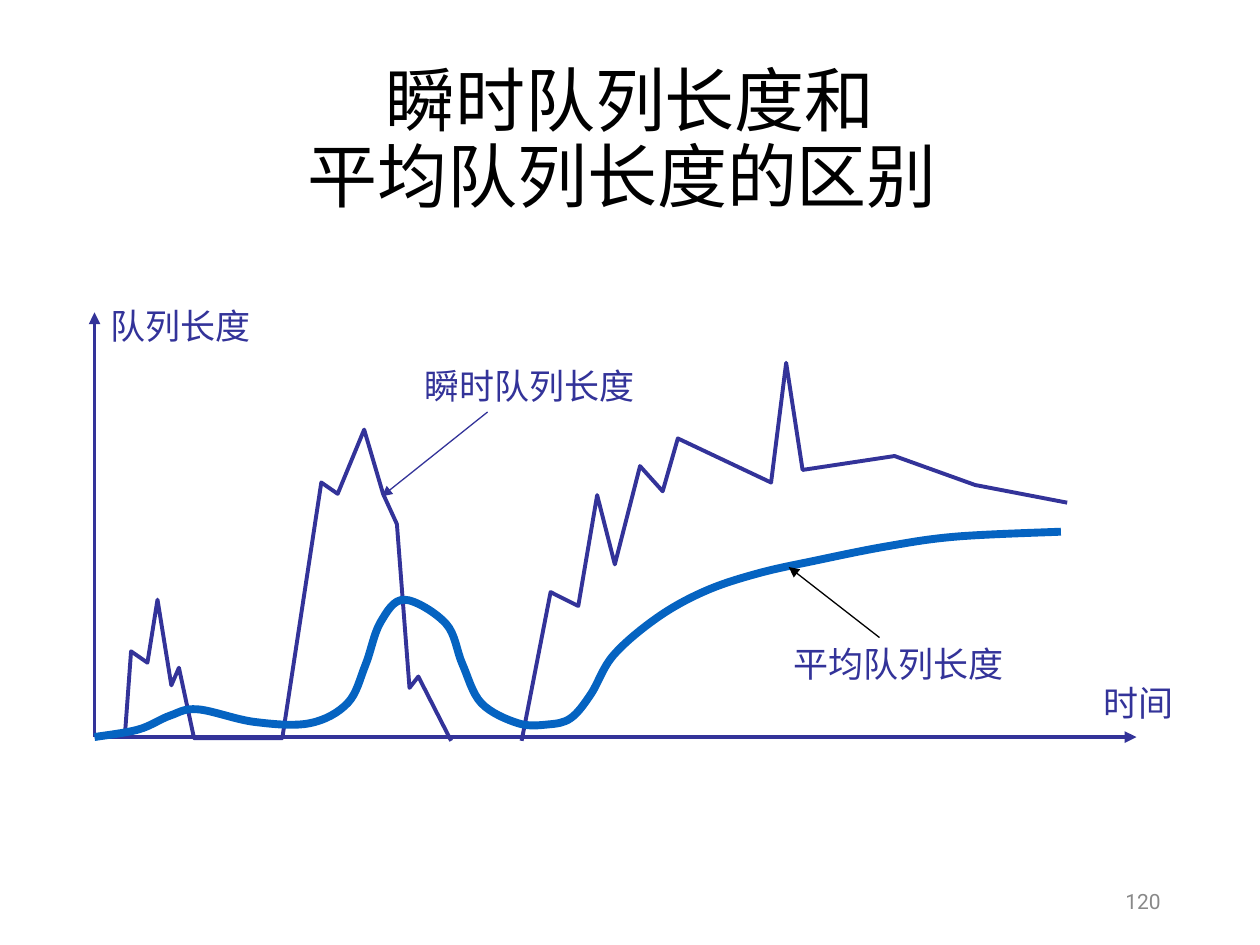
from dataclasses import dataclass

from lxml import etree
from pptx import Presentation
from pptx.dml.color import RGBColor
from pptx.enum.shapes import MSO_CONNECTOR
from pptx.enum.text import MSO_ANCHOR, MSO_AUTO_SIZE, PP_ALIGN
from pptx.oxml.ns import qn
from pptx.util import Pt

PX = 9144
STRAIGHT = MSO_CONNECTOR.STRAIGHT
LEFT, CENTER, RIGHT = PP_ALIGN.LEFT, PP_ALIGN.CENTER, PP_ALIGN.RIGHT
TOP, MIDDLE = MSO_ANCHOR.TOP, MSO_ANCHOR.MIDDLE
FIT_SHAPE = MSO_AUTO_SIZE.SHAPE_TO_FIT_TEXT


@dataclass(frozen=True)
class Theme:
    """Colours, fonts, type sizes and line widths."""
    ink: str = "000000"
    navy: str = "333399"
    blue: str = "0563C1"
    gray: str = "898989"
    title_font: str = "Calibri"
    label_font: str = "Times New Roman"
    number_font: str = "Roboto"
    title_size: int = 40
    label_size: int = 20
    number_size: int = 12
    thin: float = 0.75
    medium: float = 2.25
    thick: float = 4.5


class SlideWriter:
    """Draws styled elements on one slide, with lengths in px."""

    def __init__(self, slide, theme):
        self.shapes = slide.shapes
        self.theme = theme

    def text(self, content, box, font, size, color, align=LEFT, anchor=TOP,
             wrap=True, spacing=None):
        """Add a text box with one style."""
        textbox = self.shapes.add_textbox(*(v * PX for v in box))
        frame = textbox.text_frame
        frame.text = content
        frame.word_wrap = wrap
        frame.vertical_anchor = anchor
        paragraph = frame.paragraphs[0]
        paragraph.alignment = align
        if spacing:
            paragraph.line_spacing = spacing
        for run in paragraph.runs:
            run.font.name = font
            run.font.size = Pt(size)
            run.font.color.rgb = RGBColor.from_string(color)
        return frame

    def label(self, content, box):
        """Add a one-line chart label."""
        frame = self.text(content, box, self.theme.label_font,
                          self.theme.label_size, self.theme.navy, wrap=False)
        frame.auto_size = FIT_SHAPE

    def stroke(self, line, color, width):
        """Set the colour and width of a line."""
        line.color.rgb = RGBColor.from_string(color)
        line.width = Pt(width)

    def arrow(self, start, end, color, width):
        """Add a straight line with an arrowhead at its end."""
        ends = (v * PX for v in (*start, *end))
        connector = self.shapes.add_connector(STRAIGHT, *ends)
        self.stroke(connector.line, color, width)
        properties = connector.element.spPr
        etree.SubElement(properties.find(qn("a:ln")), qn("a:tailEnd"), type="triangle")
        etree.SubElement(properties, qn("a:effectLst"))

    def polyline(self, points, color, width):
        """Add an open outline through the points."""
        first, *rest = [(x * PX, y * PX) for x, y in points]
        builder = self.shapes.build_freeform(*first)
        builder.add_line_segments(rest, close=False)
        outline = builder.convert_to_shape()
        outline.shadow.inherit = False
        outline.fill.background()
        self.stroke(outline.line, color, width)
        return outline

    def curve(self, points, color, width):
        """Add a smooth Catmull-Rom curve through the points."""
        outline = self.polyline(points, color, width)
        knots = [(int(pt.get("x")), int(pt.get("y")))
                 for pt in outline.element.iter(qn("a:pt"))]
        knots = [knots[0], *knots, knots[-1]]
        segments = list(outline.element.iter(qn("a:lnTo")))
        for segment, before, start, end, after in zip(
                segments, knots, knots[1:], knots[2:], knots[3:]):
            leave = [s + (e - b) // 6 for b, s, e in zip(before, start, end)]
            arrive = [e - (a - s) // 6 for s, e, a in zip(start, end, after)]
            segment.tag = qn("a:cubicBezTo")
            for place, (x, y) in enumerate((leave, arrive)):
                control = etree.Element(qn("a:pt"), x=str(x), y=str(y))
                segment.insert(place, control)


FIRST_BURSTS = [
    (99, 585), (104, 517), (117, 526), (125, 476), (136, 544), (142, 530),
    (154, 586), (224, 586), (255, 383), (268, 392), (289, 341), (304, 392),
    (315, 416), (325, 546), (332, 537), (358, 588),
]
LAST_BURST = [
    (414, 588), (437, 470), (459, 481), (474, 393), (488, 448), (508, 370),
    (526, 390), (538, 348), (612, 383), (624, 288), (637, 373), (710, 362),
    (774, 385), (847, 399),
]
AVERAGE = [
    (75, 585), (110, 579), (135, 568), (157, 563), (202, 573), (246, 574),
    (276, 558), (290, 528), (302, 494), (321, 476), (354, 495), (367, 527),
    (382, 558), (411, 574), (435, 575), (453, 570), (469, 551), (487, 520),
    (522, 490), (560, 469), (602, 455), (647, 445), (702, 434), (758, 426),
    (842, 422),
]
LABELS = [
    ("队列长度", (78, 237, 131, 43)),
    ("时间", (866, 536, 76, 43)),
    ("瞬时队列长度", (327, 284, 187, 44)),
    ("平均队列长度", (620, 505, 187, 43)),
]


def main():
    """Build the queue length slide."""
    presentation = Presentation()
    presentation.slide_width = 1000 * PX
    presentation.slide_height = 750 * PX
    theme = Theme()
    writer = SlideWriter(
        presentation.slides.add_slide(presentation.slide_layouts[6]), theme)

    writer.text("瞬时队列长度和\v平均队列长度的区别 ", (69, 40, 862, 145),
                theme.title_font, theme.title_size, theme.ink,
                CENTER, MIDDLE, spacing=0.9)

    origin = (75, 585)
    for axis_end in ((902, 585), (75, 248)):
        writer.arrow(origin, axis_end, theme.navy, theme.medium)
    for burst in (FIRST_BURSTS, LAST_BURST):
        writer.polyline(burst, theme.navy, theme.medium)
    writer.curve(AVERAGE, theme.blue, theme.thick)

    for content, box in LABELS:
        writer.label(content, box)
    writer.arrow((387, 327), (303, 394), theme.navy, theme.thin)
    writer.arrow((698, 506), (626, 450), theme.ink, theme.thin)

    writer.text("120", (706, 695, 225, 40), theme.number_font,
                theme.number_size, theme.gray, RIGHT, MIDDLE)
    presentation.save("out.pptx")


if __name__ == "__main__":
    main()
